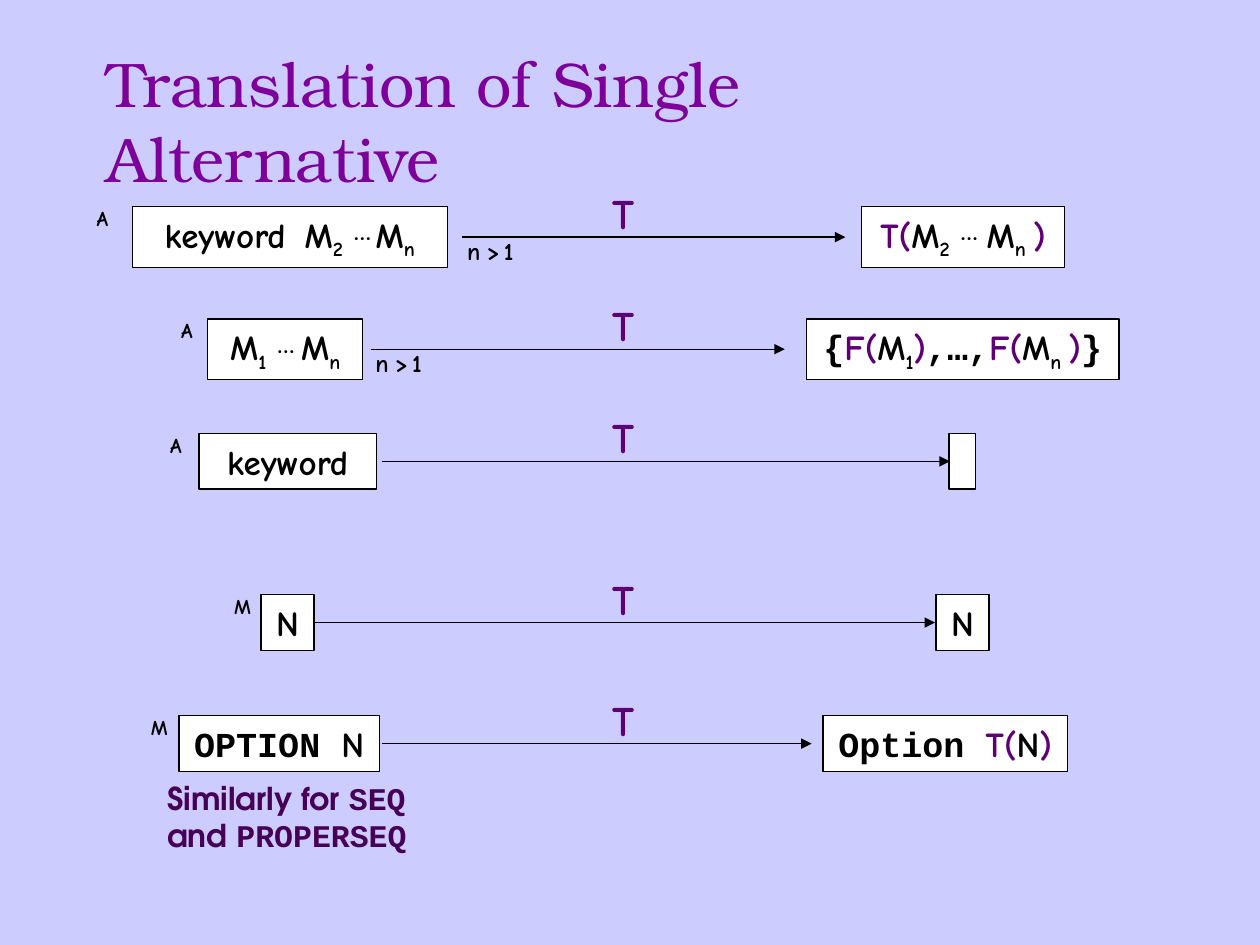
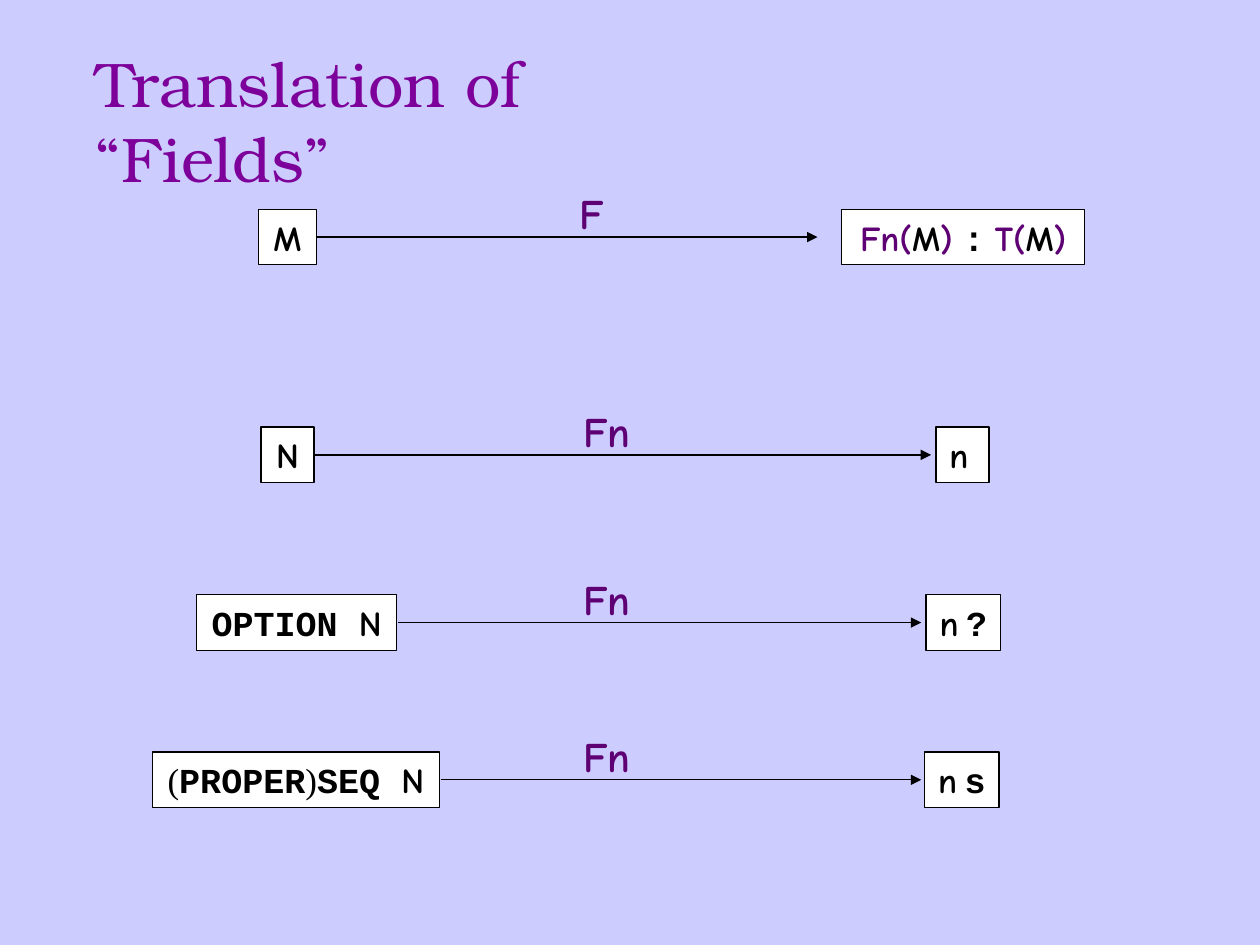
import dataclasses
import pptx
import pptx.dml.color
import pptx.enum.shapes
import pptx.enum.text
import pptx.oxml.ns
import pptx.util
from lxml import etree

Cm = pptx.util.Cm
Pt = pptx.util.Pt
Rgb = pptx.dml.color.RGBColor.from_string
Align = pptx.enum.text.PP_ALIGN
Anchor = pptx.enum.text.MSO_ANCHOR
qn = pptx.oxml.ns.qn


@dataclasses.dataclass
class Style:
    face: str
    size: float
    hue: str = "000000"
    bold: bool = True
    base: int = 0


class Theme:
    back, fill, ink = "CCCCFF", "FFFFFF", "000000"
    line = 0.75
    styles = {
        "title": Style("TeX Gyre Bonum", 36, "7D009A", False),
        "label": Style("Comic Neue", 24, "5E0074"),
        "func": Style("Comic Neue", 20, "5E0074"),
        "var": Style("Comic Neue", 20),
        "sub": Style("Comic Neue", 20, base=-25),
        "code": Style("Courier New", 20),
        "paren": Style("Times New Roman", 20, bold=False),
        "dots": Style("Courier New", 10, base=30),
        "gap": Style("Courier New", 10, bold=False),
        "cond": Style("Comic Neue", 14),
        "tag": Style("Comic Neue", 12),
        "note": Style("TeX Gyre Adventor", 18, "460056"),
        "key": Style("Courier New", 18, "460056"),
    }


def write(shape, paras, align=Align.LEFT, anchor=Anchor.TOP, wrap=False):
    """Fill a shape with paragraphs of (text, style name[, size]) runs."""
    frame = shape.text_frame
    frame.auto_size = pptx.enum.text.MSO_AUTO_SIZE.NONE
    frame.word_wrap = wrap
    frame.vertical_anchor = anchor
    for i, runs in enumerate(paras):
        para = frame.add_paragraph() if i else frame.paragraphs[0]
        para.alignment = align
        for text, name, *size in runs:
            style = Theme.styles[name]
            run = para.add_run()
            run.text = text
            if style.base:
                run._r.get_or_add_rPr().set("baseline", str(style.base * 1000))
            font = para.font if len(runs) == 1 else run.font
            font.name = style.face
            font.size = Pt(size[0] if size else style.size)
            font.bold = style.bold
            font.color.rgb = Rgb(style.hue)


def label(slide, x, y, w, h, *paras):
    write(slide.shapes.add_textbox(Cm(x), Cm(y), Cm(w), Cm(h)), paras)


# Box contents used by the rows
opt = [("OPTION ", "code"), ("N", "var")]
name = [("N", "var")]
word = [("keyword", "var")]
mark = ("•••", "dots")
space = (" ", "gap")
thin = (" ", "var", 12)
many = [("n", "cond"), (" ", "cond", 10), (">", "cond"),
        (" ", "cond", 6), ("1", "cond")]
words = [("keyword ", "var"), (" ", "var", 10), ("M", "var"), ("2", "sub"),
         space, mark, (" ", "gap", 4), ("M", "var"), ("n", "sub")]
tuple_out = [("T(", "func"), ("M", "var"), ("2", "sub"), space, mark,
             (" ", "gap", 8), ("M", "var"), ("n ", "sub"), (")", "func")]
parts = [("M", "var"), ("1", "sub"), space, ("••• ", "dots"),
         ("M", "var"), ("n", "sub")]
record = [("{", "code"), ("F(", "func"), ("M", "var"), ("1", "sub"),
          (")", "func"), (",…,", "code"), ("F(", "func"), ("M", "var"),
          ("n ", "sub"), (")", "func"), ("}", "code")]
opt_out = [("Option ", "code"), ("T(", "func"), ("N", "var"), (")", "func")]
field = [("Fn(", "func"), ("M", "var"), (")", "func"), (" ", "code", 10),
         (":", "code"), (" ", "code", 10), ("T(", "func"), ("M", "var"),
         (")", "func")]
seq = [("(", "paren"), ("PROPER", "code"), (")", "paren"),
       ("SEQ ", "code"), ("N", "var")]

# Row: centre y, box height, left box (x, width, runs), arrow (from, to),
# right box, label (x, text), tag (x, text) or None, condition or None
tall, low = 1.22, 1.12
rule = (12.09, "T")
fn = (11.51, "Fn")
pages = [
    ("Translation of Single Alternative", 1.9, 20.1, [
        (4.78, tall, (2.67, 6.35, words), (9.32, 17.04),
         (17.37, 4.09, tuple_out), rule, (1.7, "A"), many),
        (7.04, tall, (4.19, 3.12, parts), (7.47, 15.82),
         (16.26, 6.3, record), rule, (3.4, "A"), many),
        (9.3, low, (4.01, 3.58, word), (7.7, 19.15),
         (19.13, 0.53, []), rule, (3.18, "A"), None),
        (12.55, low, (5.26, 1.07, name), (6.35, 18.85),
         (18.87, 1.07, name), rule, (4.47, "M"), None),
        (14.99, low, (3.61, 4.04, opt), (7.7, 16.36),
         (16.59, 4.93, opt_out), rule, (2.79, "M"), None),
    ]),
    ("Translation of “Fields”", 1.68, 14, [
        (4.78, low, (5.21, 1.17, [("M", "var")]), (6.38, 16.48),
         (16.97, 4.9, field), (11.43, "F"), None, None),
        (9.17, low, (5.26, 1.07, name), (6.35, 18.77),
         (18.87, 1.07, [("n", "var"), thin]), fn, None, None),
        (12.55, low, (3.96, 4.04, opt), (8.03, 18.57),
         (18.67, 1.5, [("n", "var"), thin, ("?", "code")]), fn, None, None),
        (15.72, low, (3.07, 5.79, seq), (8.89, 18.57),
         (18.64, 1.5, [("n", "var"), thin, ("s", "code")]), fn, None, None),
    ]),
]

deck = pptx.Presentation()
deck.slide_width, deck.slide_height = Cm(25.4), Cm(19.05)
back = deck.slide_master.background.fill
back.solid()
back.fore_color.rgb = Rgb(Theme.back)

for head, left, width, rows in pages:
    slide = deck.slides.add_slide(deck.slide_layouts[5])
    title = slide.shapes.title
    title.left, title.top = Cm(left), Cm(0.76)
    title.width, title.height = Cm(width), Cm(1.78)
    write(title, [[(head, "title")]], wrap=True)

    for y, high, source, ends, target, sign, tag, cond in rows:
        top = y - high / 2
        for x, w, runs in (source, target):
            box = slide.shapes.add_shape(
                pptx.enum.shapes.MSO_SHAPE.RECTANGLE,
                Cm(x), Cm(top), Cm(w), Cm(high))
            box.shadow.inherit = False
            box.fill.solid()
            box.fill.fore_color.rgb = Rgb(Theme.fill)
            box.line.color.rgb = Rgb(Theme.ink)
            box.line.width = Pt(Theme.line)
            write(box, [runs], Align.CENTER, Anchor.MIDDLE)

        start, end = ends
        arrow = slide.shapes.add_connector(
            pptx.enum.shapes.MSO_CONNECTOR.STRAIGHT,
            Cm(start), Cm(y), Cm(end), Cm(y))
        arrow.line.color.rgb = Rgb(Theme.ink)
        arrow.line.width = Pt(Theme.line)
        tip = etree.SubElement(arrow.line._get_or_add_ln(), qn("a:tailEnd"))
        tip.set("type", "triangle")
        etree.SubElement(arrow._element.spPr, qn("a:effectLst"))

        x, text = sign
        label(slide, x, y - 1.12, 0.5 + 0.5 * len(text), 1.27,
              [(text, "label")])
        if tag:
            x, text = tag
            label(slide, x, top - 0.15, 0.79, 0.76, [(text, "tag")])
        if cond:
            label(slide, start - 0.15, y - 0.14, 1.55, 0.86, cond)

label(deck.slides[0], 3.12, 15.57, 5.69, 1.78,
      [("Similarly for ", "note"), ("SEQ", "key")],
      [("and ", "note"), ("PROPERSEQ", "key")])

deck.save("out.pptx")
